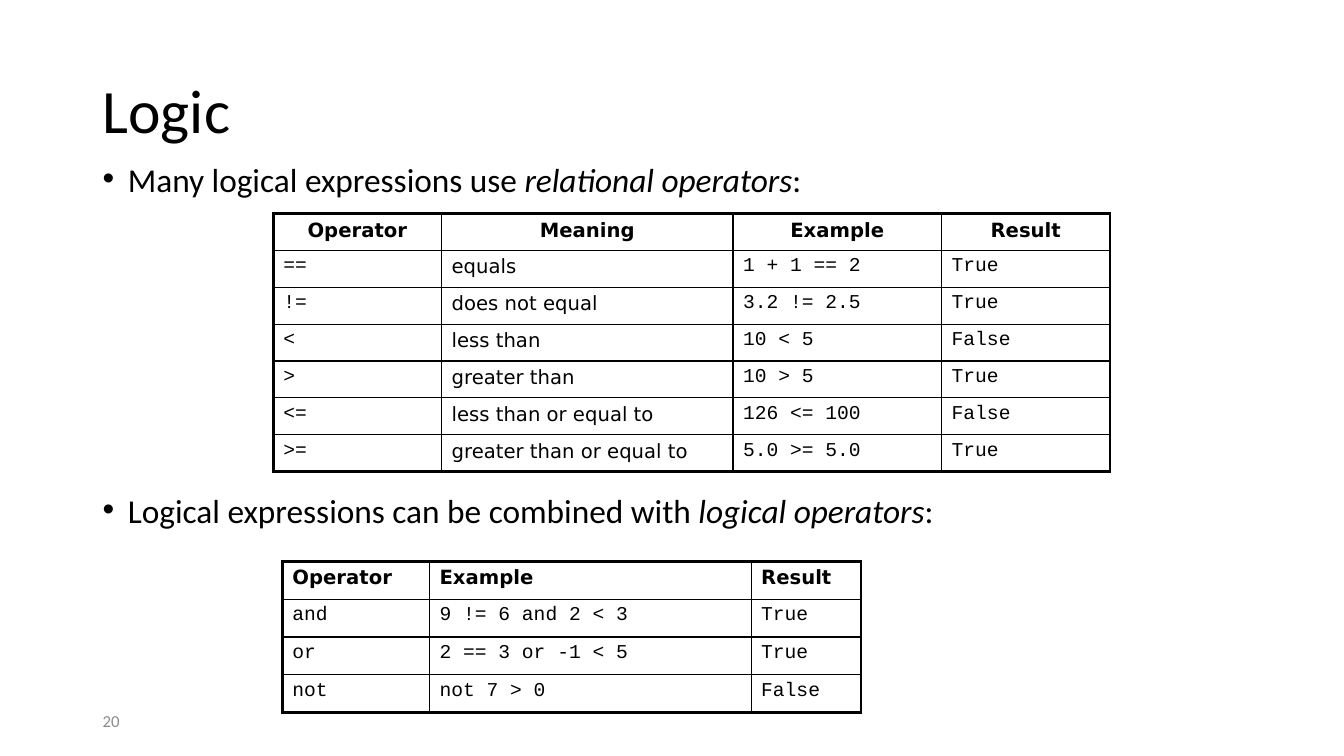
from pptx import Presentation, util as u
from pptx.dml.color import RGBColor
from pptx.enum import text as t
from lxml import etree

WIDE, HIGH = 13.33, 7.5
LEFT, SPAN = 0.92, 11.5
SANS, MONO = "DejaVu Sans", "Courier New"
NS = "http://schemas.openxmlformats.org/drawingml/2006/main"

# Cell text with the font of each body column
RELATE = [
    ["Operator", "Meaning", "Example", "Result"],
    ["==", "equals", "1 + 1 == 2", "True"],
    ["!=", "does not equal", "3.2 != 2.5", "True"],
    ["<", "less than", "10 < 5", "False"],
    [">", "greater than", "10 > 5", "True"],
    ["<=", "less than or equal to", "126 <= 100", "False"],
    [">=", "greater than or equal to", "5.0 >= 5.0", "True"],
]
COMBINE = [
    ["Operator", "Example", "Result"],
    ["and", "9 != 6 and 2 < 3", "True"],
    ["or", "2 == 3 or -1 < 5", "True"],
    ["not", "not 7 > 0", "False"],
]


def paint(font, shade):
    font.color.rgb = RGBColor.from_string(shade)


def write(para, words, face, size, shade="000000", **form):
    run = para.add_run()
    run.text = words
    form.update(name=face, size=u.Pt(size))
    for key, value in form.items():
        setattr(run.font, key, value)
    paint(run.font, shade)


def node(parent, tag, **attrs):
    return etree.SubElement(parent, f"{{{NS}}}{tag}", attrs)


def frame(slide, box, anchor):
    area = slide.shapes.add_textbox(*map(u.Inches, box)).text_frame
    area.word_wrap = True
    area.vertical_anchor = anchor
    return area


def label(slide, box, words, size, shade="000000", space=1.0):
    para = frame(slide, box, t.MSO_ANCHOR.MIDDLE).paragraphs[0]
    para.line_spacing = space
    write(para, words, "Calibri", size, shade)


def points(slide, box, items):
    """Bulleted lines: lead text, term in italics, space before."""
    area = frame(slide, box, t.MSO_ANCHOR.TOP)
    for i, (lead, term, gap) in enumerate(items):
        para = area.add_paragraph() if i else area.paragraphs[0]
        para.line_spacing = 0.7
        para.space_before = u.Pt(gap)
        props = para._p.get_or_add_pPr()
        props.set("marL", str(u.Inches(0.25)))
        props.set("indent", str(-u.Inches(0.25)))
        node(props, "buFont", typeface="Arial")
        node(props, "buChar", char="•")
        for words, slant in ((lead, False), (term, True), (":", False)):
            write(para, words, "Calibri", 23.8, italic=slant)


def edge(cell, outer):
    """Thick lines on the outer sides, thin ones inside."""
    props = cell._tc.get_or_add_tcPr()
    for side, thick in zip("LRTB", outer):
        line = node(props, "ln" + side, w=str(u.Pt(2.25 if thick else 1)))
        node(node(line, "solidFill"), "srgbClr", val="000000")
    cell.fill.background()


def grid(slide, box, shares, rows, faces, align):
    x, y, wide, high = map(u.Inches, box)
    last, end = len(rows) - 1, len(shares) - 1
    table = slide.shapes.add_table(last + 1, end + 1, x, y, wide, high).table
    table.first_row = table.horz_banding = False
    for column, share in zip(table.columns, shares):
        column.width = int(wide * share / sum(shares))
    for r, row in enumerate(rows):
        table.rows[r].height = int(high / len(rows))
        for c, words in enumerate(row):
            cell = table.cell(r, c)
            para = cell.text_frame.paragraphs[0]
            para.alignment = t.PP_ALIGN.LEFT if r else align
            write(para, words, faces[c] if r else SANS, 14, bold=r == 0)
            edge(cell, (c == 0, c == end, r == 0, r == last))


def main():
    deck = Presentation()
    deck.slide_width, deck.slide_height = u.Inches(WIDE), u.Inches(HIGH)
    slide = deck.slides.add_slide(deck.slide_layouts[6])

    # Page number, title and bullets
    label(slide, (LEFT, 6.95, 3, 0.4), "20", 12, "8C8C8C")
    label(slide, (LEFT, 0.4, SPAN, 1.45), "Logic", 44, space=0.9)
    points(slide, (LEFT, 1.64, SPAN, 3.66), [
        ("Many logical expressions use ", "relational operators", 10),
        ("Logical expressions can be combined with ", "logical operators", 216),
    ])

    # Operator tables
    grid(slide, (2.8, 5.57, 5.74, 1.5), (1.46, 3.19, 1.09), COMBINE,
         (MONO, MONO, MONO), t.PP_ALIGN.LEFT)
    grid(slide, (2.71, 2.12, 8.3, 2.56), (1.67, 2.89, 2.07, 1.67), RELATE,
         (MONO, SANS, MONO, MONO), t.PP_ALIGN.CENTER)
    deck.save("out.pptx")


if __name__ == "__main__":
    main()
